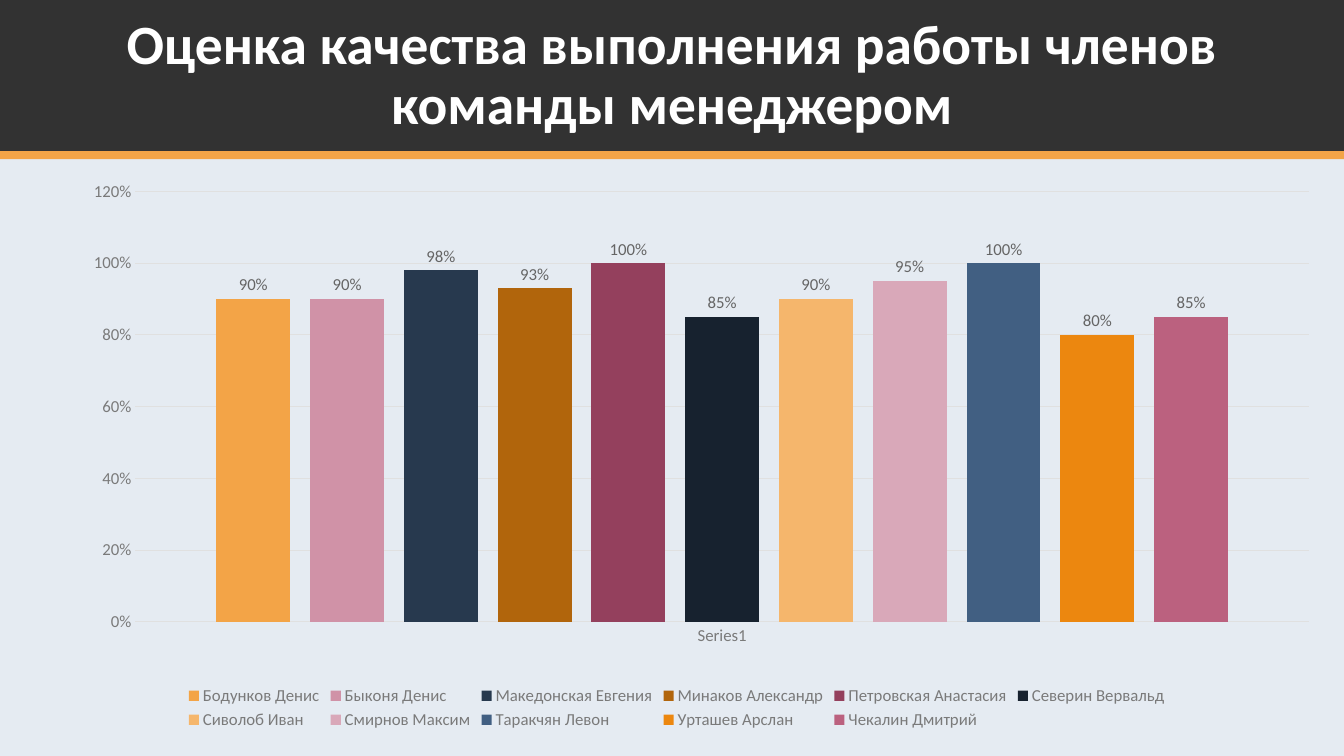
from dataclasses import dataclass

import pptx
import pptx.chart.data
import pptx.dml.color
import pptx.enum.chart
import pptx.enum.text
import pptx.enum.shapes
import pptx.oxml
import pptx.oxml.ns
import pptx.util

Cm = pptx.util.Cm
FONT = "Calibri"
COLORS = {
    "background": "E5EBF2",
    "header": "323232",
    "accent": "F3A447",
    "title": "FFFFFF",
    "axis_text": "7A7A7A",
    "label_text": "656565",
    "grid": "E0E0E0",
}
SLIDE_WIDTH, SLIDE_HEIGHT = 33.87, 19.05


@dataclass
class Band:
    top: float
    height: float
    color: str


@dataclass
class Member:
    name: str
    score: float
    color: str


BANDS = [Band(0, 3.81, "header"), Band(3.81, 0.2, "accent")]
MEMBERS = [
    Member("Бодунков Денис", 0.9, "F3A447"),
    Member("Быконя Денис", 0.9, "D092A7"),
    Member("Македонская Евгения", 0.98, "27394E"),
    Member("Минаков Александр", 0.93, "B1650C"),
    Member("Петровская Анастасия", 1, "94405D"),
    Member("Северин Вервальд", 0.85, "17222F"),
    Member("Сиволоб Иван", 0.9, "F5B66C"),
    Member("Смирнов Максим", 0.95, "D9A8B9"),
    Member("Таракчян Левон", 1, "415F82"),
    Member("Урташев Арслан", 0.8, "EC870F"),
    Member("Чекалин Дмитрий", 0.85, "BB617F"),
]
PLOT_AREA = {"x": 0.072, "y": 0.031, "w": 0.928, "h": 0.769}


def rgb(value: str) -> pptx.dml.color.RGBColor:
    return pptx.dml.color.RGBColor.from_string(value)


def set_font(font, size: float, color: str, bold: bool = False) -> None:
    font.name = FONT
    font.size = pptx.util.Pt(size)
    font.bold = bold
    font.color.rgb = rgb(COLORS[color])


def set_line(line, color: str) -> None:
    line.color.rgb = rgb(COLORS[color])
    line.width = pptx.util.Pt(0.75)


def draw_band(slide, band: Band) -> None:
    strip = slide.shapes.add_shape(
        pptx.enum.shapes.MSO_SHAPE.RECTANGLE,
        Cm(0), Cm(band.top), Cm(SLIDE_WIDTH), Cm(band.height))
    strip.shadow.inherit = False
    strip.fill.solid()
    strip.fill.fore_color.rgb = rgb(COLORS[band.color])
    strip.line.fill.background()


def add_text(slide, text: str, *, left: float, top: float, width: float,
             height: float, size: float, color: str, bold: bool = False,
             spacing: float = 1.0) -> None:
    frame = slide.shapes.add_textbox(
        Cm(left), Cm(top), Cm(width), Cm(height)).text_frame
    frame.word_wrap = True
    frame.vertical_anchor = pptx.enum.text.MSO_ANCHOR.MIDDLE
    paragraph = frame.paragraphs[0]
    paragraph.alignment = pptx.enum.text.PP_ALIGN.CENTER
    paragraph.line_spacing = spacing
    run = paragraph.add_run()
    run.text = text
    set_font(run.font, size, color, bold)


def place_plot(chart) -> None:
    """Fix the inner plot area as fractions of the chart."""
    settings = '<c:layoutTarget val="inner"/><c:xMode val="edge"/><c:yMode val="edge"/>'
    settings += "".join(f'<c:{key} val="{value}"/>' for key, value in PLOT_AREA.items())
    layout = pptx.oxml.parse_xml(
        f'<c:layout {pptx.oxml.ns.nsdecls("c")}>'
        f"<c:manualLayout>{settings}</c:manualLayout></c:layout>")
    plot_area = chart.element.chart.plotArea
    for default_layout in plot_area.findall(pptx.oxml.ns.qn("c:layout")):
        plot_area.remove(default_layout)
    plot_area.insert(0, layout)


def style_axes(chart) -> None:
    no_tick = pptx.enum.chart.XL_TICK_MARK.NONE
    for axis in (chart.category_axis, chart.value_axis):
        axis.major_tick_mark = no_tick
        axis.minor_tick_mark = no_tick
        set_font(axis.tick_labels.font, 12, "axis_text")
    set_line(chart.category_axis.format.line, "grid")

    scores = chart.value_axis
    scores.minimum_scale, scores.maximum_scale, scores.major_unit = 0, 1.2, 0.2
    scores.tick_labels.number_format = "0%"
    scores.tick_labels.number_format_is_linked = False
    scores.format.line.fill.background()
    scores.has_major_gridlines = True
    set_line(scores.major_gridlines.format.line, "grid")


def draw_scores(slide, members: list[Member]) -> None:
    data = pptx.chart.data.CategoryChartData(number_format="0%")
    data.categories = ["Series1"]
    for member in members:
        data.add_series(member.name, [member.score])
    chart = slide.shapes.add_chart(
        pptx.enum.chart.XL_CHART_TYPE.COLUMN_CLUSTERED,
        Cm(1.12), Cm(4.39), Cm(31.88), Cm(14.1), data).chart
    set_font(chart.font, 10, "header")
    chart.has_title = False
    place_plot(chart)
    style_axes(chart)

    # Columns and their values
    columns = chart.plots[0]
    columns.gap_width, columns.overlap = 219, -27
    columns.vary_by_categories = False
    for member, column in zip(members, columns.series):
        column.format.fill.solid()
        column.format.fill.fore_color.rgb = rgb(member.color)
        column.invert_if_negative = False
        labels = column.data_labels
        labels.show_value = True
        labels.position = pptx.enum.chart.XL_LABEL_POSITION.OUTSIDE_END
        set_font(labels.font, 12, "label_text")

    # Legend
    chart.has_legend = True
    chart.legend.position = pptx.enum.chart.XL_LEGEND_POSITION.BOTTOM
    chart.legend.include_in_layout = False
    set_font(chart.legend.font, 12, "axis_text")


def main() -> None:
    presentation = pptx.Presentation()
    presentation.slide_width = Cm(SLIDE_WIDTH)
    presentation.slide_height = Cm(SLIDE_HEIGHT)
    slide = presentation.slides.add_slide(presentation.slide_layouts[6])
    slide.background.fill.solid()
    slide.background.fill.fore_color.rgb = rgb(COLORS["background"])

    # Header
    for band in BANDS:
        draw_band(slide, band)
    add_text(slide, "Оценка качества выполнения работы членов команды менеджером",
             left=2.33, top=0.69, width=29.21, height=2.46,
             size=39.6, color="title", bold=True, spacing=0.9)

    # Team scores
    draw_scores(slide, MEMBERS)
    presentation.save("out.pptx")


if __name__ == "__main__":
    main()
